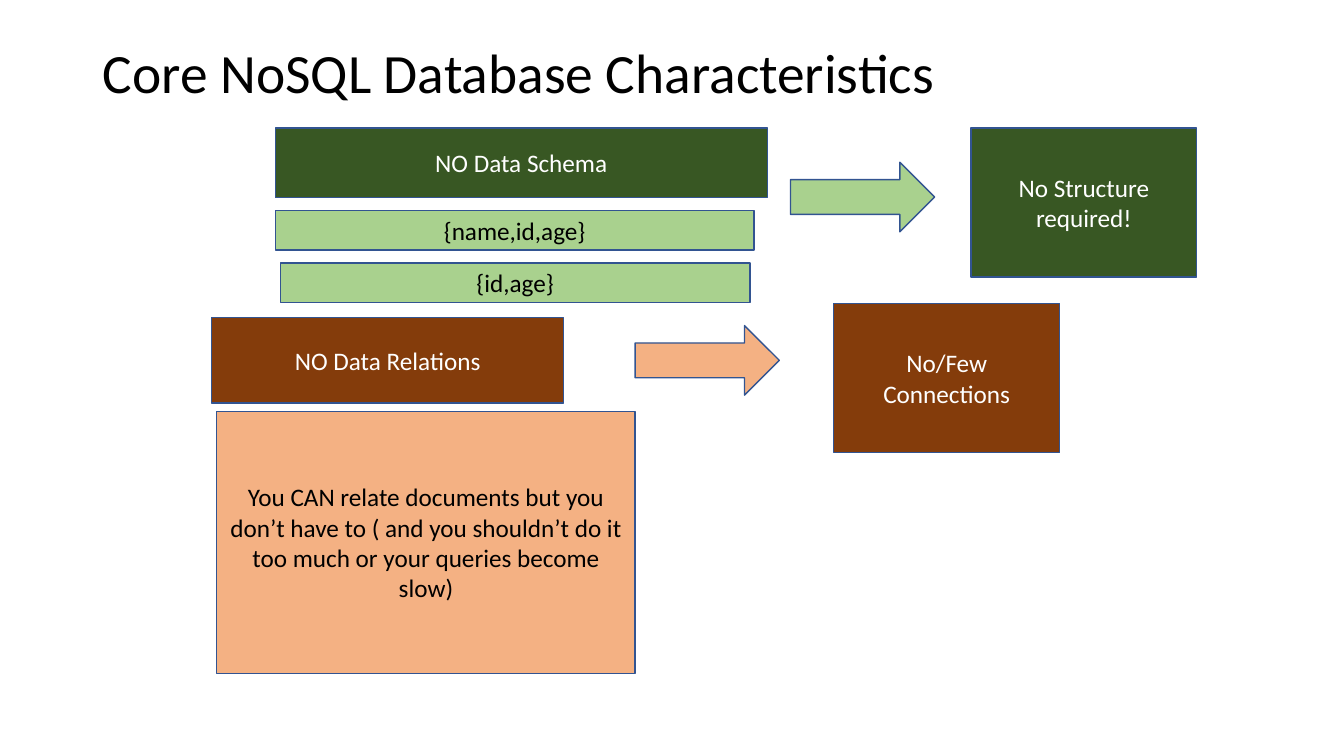
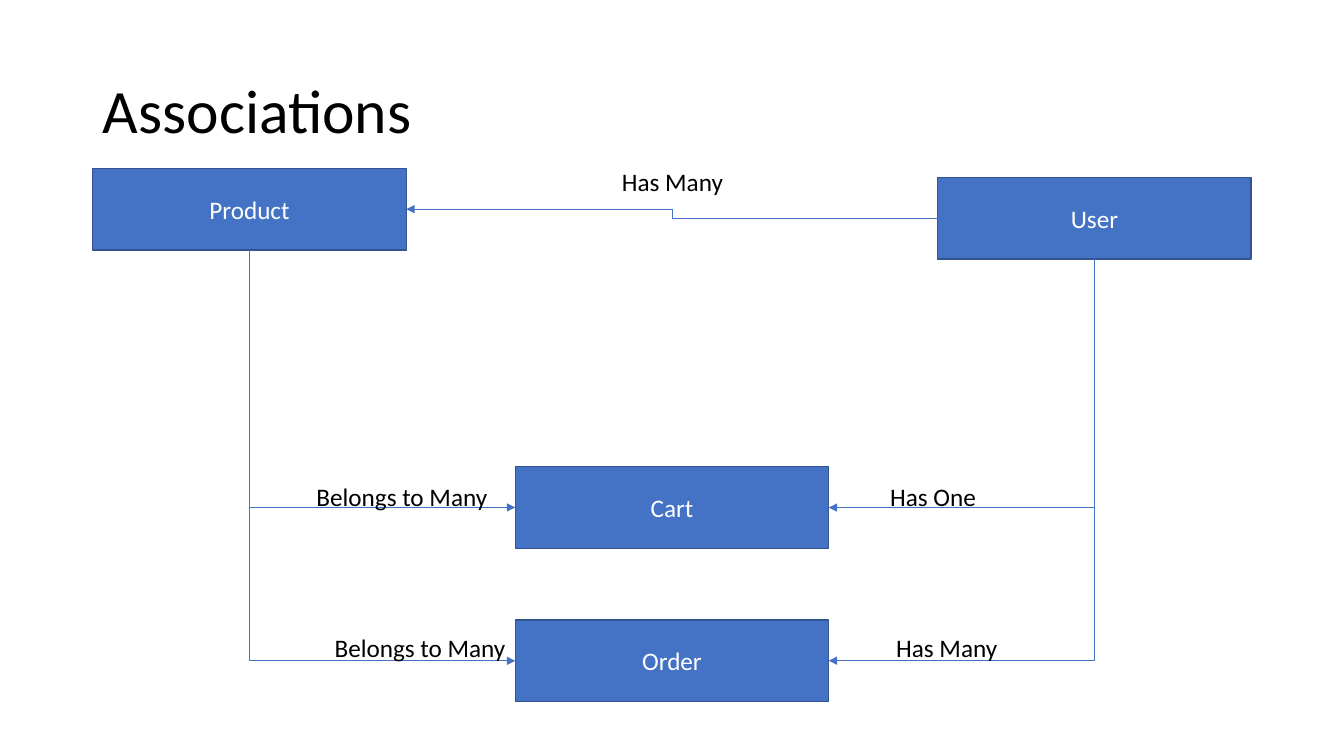
from dataclasses import dataclass

from lxml.etree import SubElement
from pptx import Presentation
from pptx.dml.color import RGBColor
from pptx.enum.shapes import MSO_CONNECTOR as Connector, MSO_SHAPE as Shape
from pptx.enum.text import MSO_ANCHOR as Anchor, MSO_AUTO_SIZE as AutoSize, PP_ALIGN as Align
from pptx.oxml.ns import qn
from pptx.util import Inches, Pt


@dataclass(frozen=True)
class Theme:
    font: str = "Calibri"
    black: str = "000000"
    white: str = "FFFFFF"
    blue: str = "4472C4"
    outline: str = "325491"
    dark_green: str = "385723"
    light_green: str = "A9D18E"
    brown: str = "843C0B"
    peach: str = "F4B183"
    body_size: float = 18
    outline_width: float = 1
    connector_width: float = 0.5


THEME = Theme()
SLIDE_WIDTH, SLIDE_HEIGHT = 13.33, 7.5
MARGIN, TITLE_TOP = 0.92, 0.4

CHARACTERISTICS = {
    "title": ("Core NoSQL Database Characteristics", 9.83, 0.69, 39.6),
    "groups": [
        {
            "dark": THEME.dark_green,
            "light": THEME.light_green,
            "heading": ("NO Data Schema", (2.73, 1.27, 4.88, 0.69)),
            "details": [
                ("{name,id,age}", (2.73, 2.09, 4.75, 0.39)),
                ("{id,age}", (2.78, 2.61, 4.66, 0.39)),
            ],
            "arrow": (7.84, 1.61),
            "result": ("No Structure required!", (9.63, 1.27)),
        },
        {
            "dark": THEME.brown,
            "light": THEME.peach,
            "heading": ("NO Data Relations", (2.1, 3.15, 3.49, 0.85)),
            "details": [
                (
                    "You CAN relate documents but you don’t have to ( and you "
                    "shouldn’t do it too much or your queries become slow)",
                    (2.15, 4.08, 4.15, 2.6),
                ),
            ],
            "arrow": (6.3, 3.23),
            "result": ("No/Few Connections", (8.27, 3.01)),
        },
    ],
}
ARROW_SIZE = (1.43, 0.69)
RESULT_SIZE = (2.24, 1.48)

ASSOCIATIONS = {
    "title": ("Associations", 11.5, 1.45, 44),
    "entities": {"Product": (0, 1.67), "User": (2, 1.76), "Cart": (1, 4.63), "Order": (1, 6.15)},
    "relations": [
        ("User", "Cart", "Has One", (8.73, 4.73, 1.06)),
        ("Product", "Cart", "Belongs to Many", (3.04, 4.73, 1.92)),
        ("User", "Order", "Has Many", (8.79, 6.22, 1.22)),
        ("Product", "Order", "Belongs to Many", (3.22, 6.22, 1.92)),
        ("User", "Product", "Has Many", (6.07, 1.6, 1.22)),
    ],
}
ENTITY_SIZE = (3.11, 0.81)
COLUMN_STEP = 4.19
LABEL_HEIGHT = 0.4
LEFT_SITE, BOTTOM_SITE, RIGHT_SITE = 1, 2, 3


def color(value):
    return RGBColor.from_string(value)


def write(shape, text, size, ink, align):
    shape.text_frame.text = text
    paragraph = shape.text_frame.paragraphs[0]
    paragraph.alignment = align
    paragraph.font.name = THEME.font
    paragraph.font.size = Pt(size)
    paragraph.font.color.rgb = color(ink)
    return paragraph


def add_titled_slide(presentation, text, width, height, size):
    slide = presentation.slides.add_slide(presentation.slide_layouts[5])
    title = slide.shapes.title
    title.left, title.top = Inches(MARGIN), Inches(TITLE_TOP)
    title.width, title.height = Inches(width), Inches(height)
    title.text_frame.vertical_anchor = Anchor.MIDDLE
    title.text_frame.auto_size = AutoSize.NONE
    write(title, text, size, THEME.black, Align.LEFT).line_spacing = 0.9
    return slide


def add_block(slide, box, fill, text="", ink=THEME.white, kind=Shape.RECTANGLE):
    shape = slide.shapes.add_shape(kind, *map(Inches, box))
    shape.shadow.inherit = False
    shape.fill.solid()
    shape.fill.fore_color.rgb = color(fill)
    shape.line.color.rgb = color(THEME.outline)
    shape.line.width = Pt(THEME.outline_width)
    if text:
        shape.text_frame.word_wrap = True
        shape.text_frame.vertical_anchor = Anchor.MIDDLE
        write(shape, text, THEME.body_size, ink, Align.CENTER)
    return shape


def add_label(slide, text, box):
    label = slide.shapes.add_textbox(*map(Inches, box))
    label.text_frame.word_wrap = False
    label.text_frame.auto_size = AutoSize.SHAPE_TO_FIT_TEXT
    write(label, text, THEME.body_size, THEME.black, Align.LEFT)


def turn_single_corner(connector, rightward):
    left, top, width, height = connector.left, connector.top, connector.width, connector.height
    properties = connector._element.spPr
    properties.find(qn("a:prstGeom")).set("prst", "bentConnector2")
    transform = properties.find(qn("a:xfrm"))
    transform.set("rot", str((270 if rightward else 90) * 60000))
    transform.set("flipH", "1" if rightward else "0")
    connector.left = left + (width - height) // 2
    connector.top = top + (height - width) // 2
    connector.width, connector.height = height, width


def connect(slide, source, target):
    rightward = source.left < target.left
    downward = target.top > source.top + source.height
    connector = slide.shapes.add_connector(Connector.ELBOW, 0, 0, 0, 0)
    connector.begin_connect(source, BOTTOM_SITE if downward else LEFT_SITE)
    connector.end_connect(target, LEFT_SITE if rightward else RIGHT_SITE)
    if downward:
        turn_single_corner(connector, rightward)
    connector.line.color.rgb = color(THEME.blue)
    connector.line.width = Pt(THEME.connector_width)
    properties = connector._element.spPr
    SubElement(properties.find(qn("a:ln")), qn("a:tailEnd"), type="triangle")
    SubElement(properties, qn("a:effectLst"))


def build_characteristics(presentation):
    slide = add_titled_slide(presentation, *CHARACTERISTICS["title"])
    for group in CHARACTERISTICS["groups"]:
        heading, heading_box = group["heading"]
        result, result_corner = group["result"]
        add_block(slide, heading_box, group["dark"], heading)
        for detail, box in group["details"]:
            add_block(slide, box, group["light"], detail, THEME.black)
        add_block(slide, group["arrow"] + ARROW_SIZE, group["light"], kind=Shape.RIGHT_ARROW)
        add_block(slide, result_corner + RESULT_SIZE, group["dark"], result)


def build_associations(presentation):
    slide = add_titled_slide(presentation, *ASSOCIATIONS["title"])
    entities = {}
    for name, (column, top) in ASSOCIATIONS["entities"].items():
        corner = (MARGIN + column * COLUMN_STEP, top)
        entities[name] = add_block(slide, corner + ENTITY_SIZE, THEME.blue, name)
    for source, target, label, box in ASSOCIATIONS["relations"]:
        connect(slide, entities[source], entities[target])
        add_label(slide, label, box + (LABEL_HEIGHT,))


presentation = Presentation()
presentation.slide_width = Inches(SLIDE_WIDTH)
presentation.slide_height = Inches(SLIDE_HEIGHT)
build_characteristics(presentation)
build_associations(presentation)
presentation.save("out.pptx")
